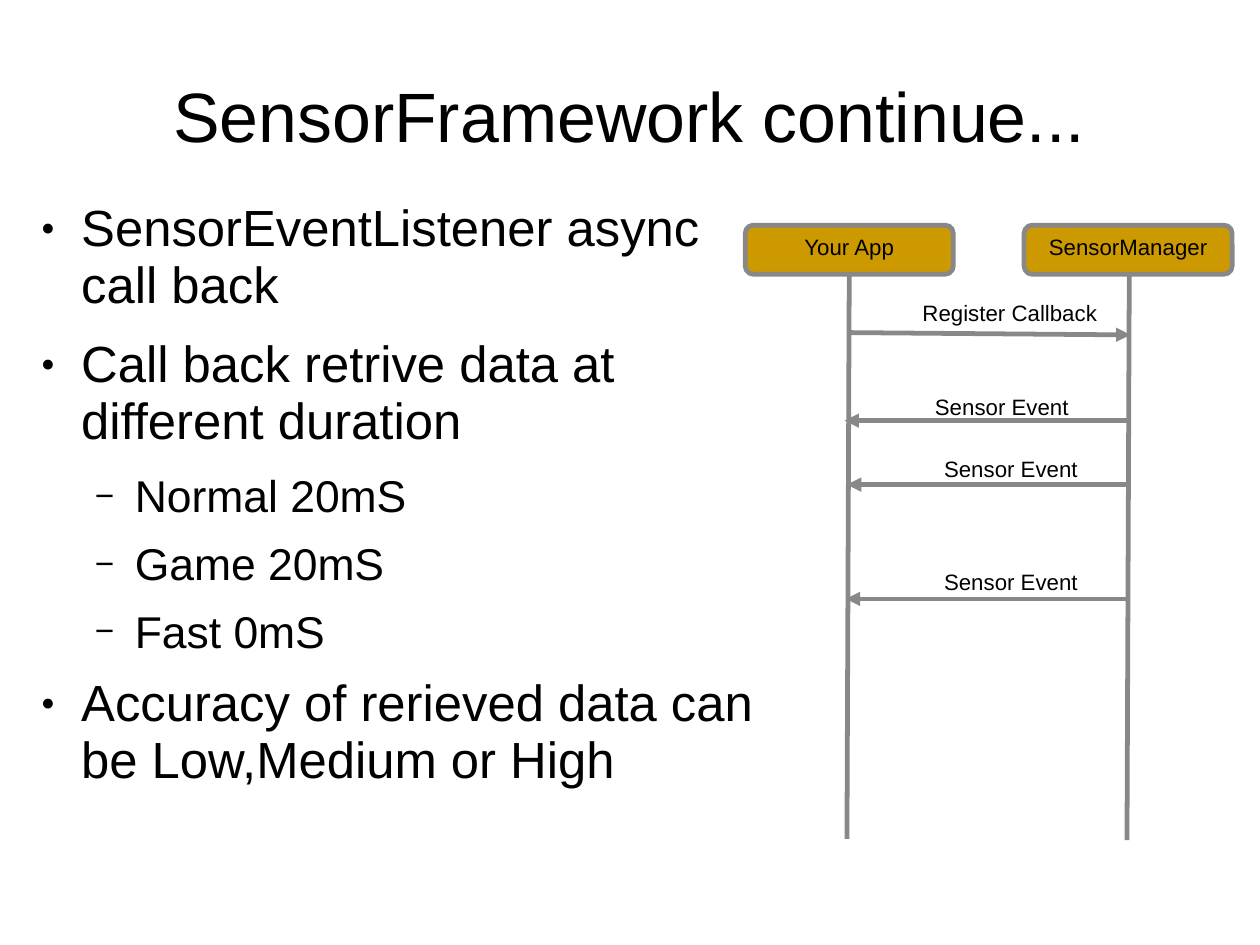
from lxml import etree
from pptx import Presentation
from pptx.dml.color import RGBColor
from pptx.enum.shapes import MSO_CONNECTOR, MSO_SHAPE
from pptx.enum.text import MSO_ANCHOR, PP_ALIGN
from pptx.oxml.ns import qn
from pptx.util import Cm, Inches, Pt

LINE = MSO_CONNECTOR.STRAIGHT
ROUND = MSO_SHAPE.ROUNDED_RECTANGLE
CENTER, LEFT = PP_ALIGN.CENTER, PP_ALIGN.LEFT
MIDDLE, TOP = MSO_ANCHOR.MIDDLE, MSO_ANCHOR.TOP
TITLE_ONLY = 5


def color(text):
    return RGBColor.from_string(text)


class Deck:
    """Holds the style and the current slide."""

    face, ink, gray, gold = "Arial", "000000", "888888", "CC9900"
    marks = [("●", 45, 0.47, 32, 14.2), ("−", 75, 0.94, 28, 11.4)]

    def __init__(self, width, height):
        self.prs = Presentation()
        self.prs.slide_width = width
        self.prs.slide_height = height
        layout = self.prs.slide_layouts[TITLE_ONLY]
        self.slide = self.prs.slides.add_slide(layout)
        self.shapes = self.slide.shapes

    def style(self, para, size, align=CENTER):
        para.alignment = align
        font = para.font
        font.name, font.size, font.bold = self.face, Pt(size), False
        font.color.rgb = color(self.ink)

    def frame(self, shape, insets, anchor=TOP, wrap=True):
        frame = shape.text_frame
        frame.margin_left, frame.margin_top = map(Inches, insets)
        frame.margin_right = frame.margin_left
        frame.margin_bottom = Inches(insets[1] if insets[0] else 0)
        frame.vertical_anchor = anchor
        frame.word_wrap = wrap
        return frame

    def title(self, text, box):
        shape = self.shapes.title
        shape.left, shape.top, shape.width, shape.height = map(Inches, box)
        frame = self.frame(shape, (0, 0.04), MIDDLE)
        frame.text = text
        para = frame.paragraphs[0]
        para.line_spacing = 0.93
        self.style(para, 44)

    def bullets(self, items, box):
        shape = self.shapes.add_textbox(*map(Inches, box))
        frame = self.frame(shape, (0, 0.03))
        for i, (level, text) in enumerate(items):
            para = frame.add_paragraph() if i else frame.paragraphs[0]
            mark, scale, indent, size, after = self.marks[level]
            para.text, para.level = text, level
            para.line_spacing, para.space_after = 0.93, Pt(after)
            props = para._p.get_or_add_pPr()
            props.set("marL", str(Inches(indent)))
            props.set("indent", str(Inches(-0.35)))
            tint = etree.SubElement(props, qn("a:buClr"))
            etree.SubElement(tint, qn("a:srgbClr"), val=self.ink)
            etree.SubElement(props, qn("a:buSzPct"), val=str(scale * 1000))
            etree.SubElement(props, qn("a:buFont"), typeface=self.face)
            etree.SubElement(props, qn("a:buChar"), char=mark)
            self.style(para, size, LEFT)

    def node(self, text, left):
        box = map(Inches, (left, 1.97, 1.82, 0.43))
        shape = self.shapes.add_shape(ROUND, *box)
        shape.shadow.inherit = False
        shape.fill.solid()
        shape.fill.fore_color.rgb = color(self.gold)
        shape.line.color.rgb = color(self.gray)
        shape.line.width = Pt(3)
        frame = self.frame(shape, (0.1, 0.05))
        frame.text = text
        self.style(frame.paragraphs[0], 14)

    def line(self, ends, arrow=False):
        wire = self.shapes.add_connector(LINE, *map(Inches, ends))
        wire.line.color.rgb = color(self.gray)
        wire.line.width = Pt(3)
        if arrow:
            stroke = wire.line._get_or_add_ln()
            etree.SubElement(stroke, qn("a:tailEnd"), type="triangle")
        etree.SubElement(wire._element.spPr, qn("a:effectLst"))

    def label(self, text, left, top, width):
        box = map(Inches, (left, top, width, 0.34))
        shape = self.shapes.add_textbox(*box)
        frame = self.frame(shape, (0.1, 0.05), wrap=False)
        frame.text = text
        self.style(frame.paragraphs[0], 14)


def main():
    deck = Deck(Cm(28), Cm(21))
    deck.title("SensorFramework continue...", (0.55, 0.33, 9.92, 1.38))
    deck.node("SensorManager", 8.96)
    deck.node("Your App", 6.52)
    deck.line((7.43, 2.41, 7.41, 7.34))
    deck.line((9.88, 2.41, 9.86, 7.35))
    calls = [
        ("Register Callback", (7.42, 2.91, 9.89, 2.93), (7.97, 2.57, 1.73)),
        ("Sensor Event", (9.87, 3.68, 7.39, 3.68), (8.08, 3.39, 1.37)),
        ("Sensor Event", (9.89, 4.24, 7.41, 4.24), (8.16, 3.93, 1.37)),
        ("Sensor Event", (9.88, 5.24, 7.4, 5.24), (8.16, 4.92, 1.37)),
    ]
    for text, ends, place in calls:
        deck.line(ends, arrow=True)
        deck.label(text, *place)
    deck.bullets([
        (0, "SensorEventListener async call back"),
        (0, "Call back retrive data at different duration"),
        (1, "Normal 20mS"),
        (1, "Game 20mS"),
        (1, "Fast 0mS"),
        (0, "Accuracy of rerieved data can be Low,Medium or High"),
    ], (0.24, 1.73, 6.61, 5.91))
    deck.prs.save("out.pptx")


if __name__ == "__main__":
    main()
